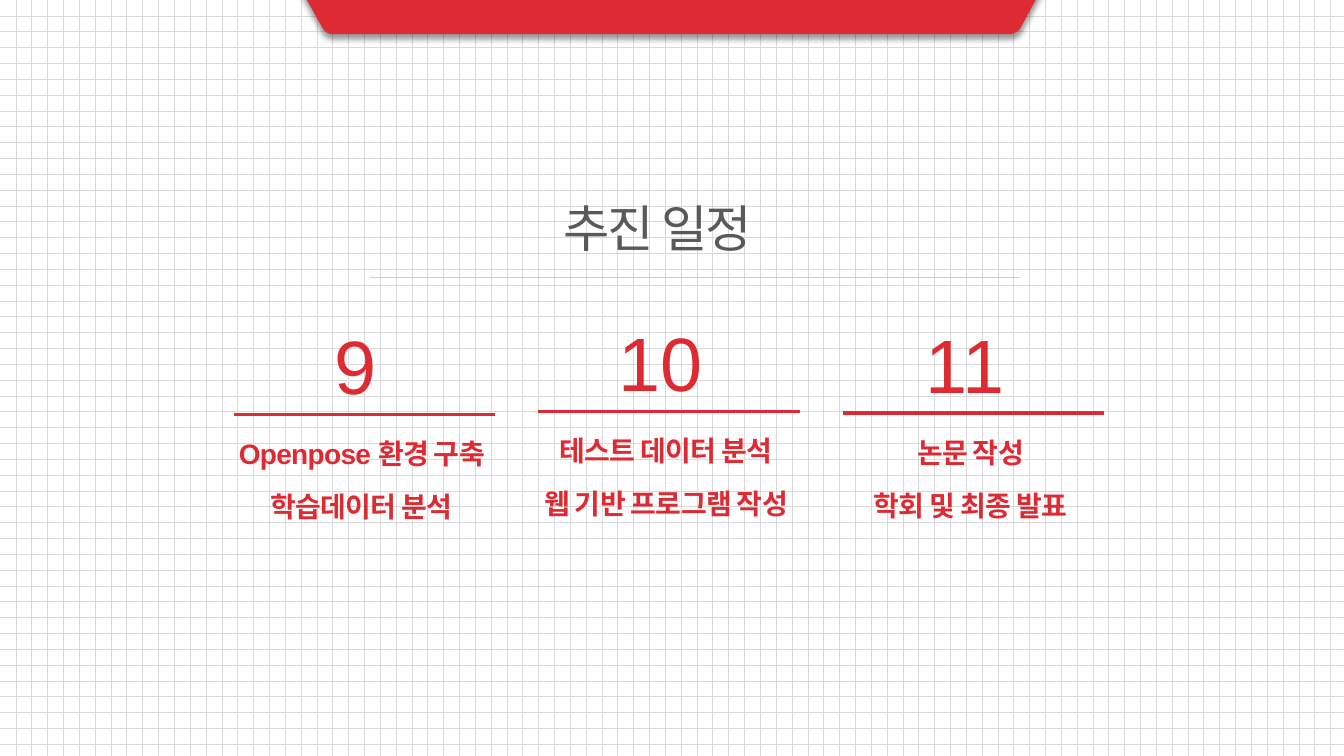
from lxml import etree
from pptx import Presentation
from pptx.dml.color import RGBColor
from pptx.enum import dml, shapes, text
from pptx.oxml import parse_xml
from pptx.oxml.ns import qn
from pptx.util import Inches, Pt

NS = 'xmlns:a="http://schemas.openxmlformats.org/drawingml/2006/main"'
RED = "DE2A33"
KOR = "Noto Sans CJK KR"


def write(box, lines, look, space=1.0, track=0, edge=False):
    """Fill a box with centred lines; track is in points, edge adds a faint white outline."""
    frame = box.text_frame
    frame.word_wrap = True
    for i, line in enumerate(lines):
        para = frame.paragraphs[0] if i == 0 else frame.add_paragraph()
        para.alignment = text.PP_ALIGN.CENTER
        para.line_spacing = space
        run = para.add_run()
        run.text = line
        for key, val in look.items():
            setattr(run.font, key, val)
        run.font.color.rgb = RGBColor.from_string(box_ink)
        props = run.font._element
        props.set("spc", str(int(track * 100)))
        etree.SubElement(props, qn("a:ea"), typeface=KOR)
        if edge:
            props.insert(0, parse_xml(
                f'<a:ln {NS} w="9525"><a:solidFill><a:srgbClr val="FFFFFF">'
                '<a:alpha val="5000"/></a:srgbClr></a:solidFill></a:ln>'))


def rule(left, right, top, ink, width):
    line = page.shapes.add_connector(shapes.MSO_CONNECTOR.STRAIGHT, Inches(left),
                                     Inches(top), Inches(right), Inches(top))
    line.line.color.rgb = RGBColor.from_string(ink)
    line.line.width = Pt(width)
    etree.SubElement(line._element.spPr, qn("a:effectLst"))


deck = Presentation()
deck.slide_width, deck.slide_height = Inches(13.33), Inches(7.5)
page = deck.slides.add_slide(deck.slide_layouts[5])

# Grid background
back = page.background.fill
back.patterned()
back.pattern = dml.MSO_PATTERN.DOTTED_GRID
back.fore_color.rgb = RGBColor.from_string("D9D9D9")
back.back_color.rgb = RGBColor.from_string("FFFFFF")

# Red tab with two rounded lower corners
corners = [[(10.02, .34), (10.07, .33), (10.1, .31), (10.12, .28)],
           [(3.2, .28), (3.22, .31), (3.24, .33), (3.29, .34)]]
arcs = []
for curve in corners:
    arc = []
    for n in range(9):
        t = n / 8
        mix = [(1 - t) ** 3, 3 * t * (1 - t) ** 2, 3 * t * t * (1 - t), t ** 3]
        arc.append(tuple(Inches(sum(m * p[k] for m, p in zip(mix, curve))) for k in (0, 1)))
    arcs.append(arc)
top = [(Inches(10.45), Inches(-.33)), (Inches(2.86), Inches(-.33))]
pen = page.shapes.build_freeform(*arcs[1][-1])
pen.add_line_segments(arcs[0] + top + arcs[1], close=True)
tab = pen.convert_to_shape()
tab.fill.solid()
tab.fill.fore_color.rgb = RGBColor.from_string(RED)
tab.line.fill.background()
tab._element.spPr.append(parse_xml(
    f'<a:effectLst {NS}><a:outerShdw blurRad="{Pt(4)}" dist="{Pt(3)}" dir="5400000" '
    'algn="t" rotWithShape="0"><a:srgbClr val="000000"><a:alpha val="40000"/>'
    '</a:srgbClr></a:outerShdw></a:effectLst>'))

# Title
title = page.shapes.title
title.left, title.top, title.width, title.height = map(Inches, (1.87, 2.01, 9.31, .57))
title.text_frame.vertical_anchor = text.MSO_ANCHOR.MIDDLE
box_ink = "595959"
write(title, ["추진 일정"], {"size": Pt(36), "name": KOR}, .9, -1.5)
rule(3.67, 10.12, 2.75, "D0CECE", 1)

# One column per month
months = [("9", 3.11, ["Openpose 환경 구축 학습데이터 분석"]),
          ("10", 3.08, ["테스트 데이터 분석", "웹 기반 프로그램 작성"]),
          ("11", 3.1, ["논문 작성", "학회 및 최종 발표"])]
box_ink = RED
for i, (month, high, tasks) in enumerate(months):
    left = 2.11 + i * 3.02
    head = page.shapes.add_textbox(*map(Inches, (left + .87, high, 1.1, 1.01)))
    write(head, [month], {"size": Pt(54), "name": "Arial"})
    head.text_frame.auto_size = text.MSO_AUTO_SIZE.SHAPE_TO_FIT_TEXT
    rule(left + .21, left + 2.8, high + 1, RED, 2.5)
    body = page.shapes.add_textbox(*map(Inches, (left, high + 1.18, 2.95, .74)))
    body.text_frame.vertical_anchor = text.MSO_ANCHOR.MIDDLE
    write(body, tasks, {"size": Pt(20), "name": "Arial", "bold": True}, 1.6, -.5, True)

deck.save("out.pptx")
